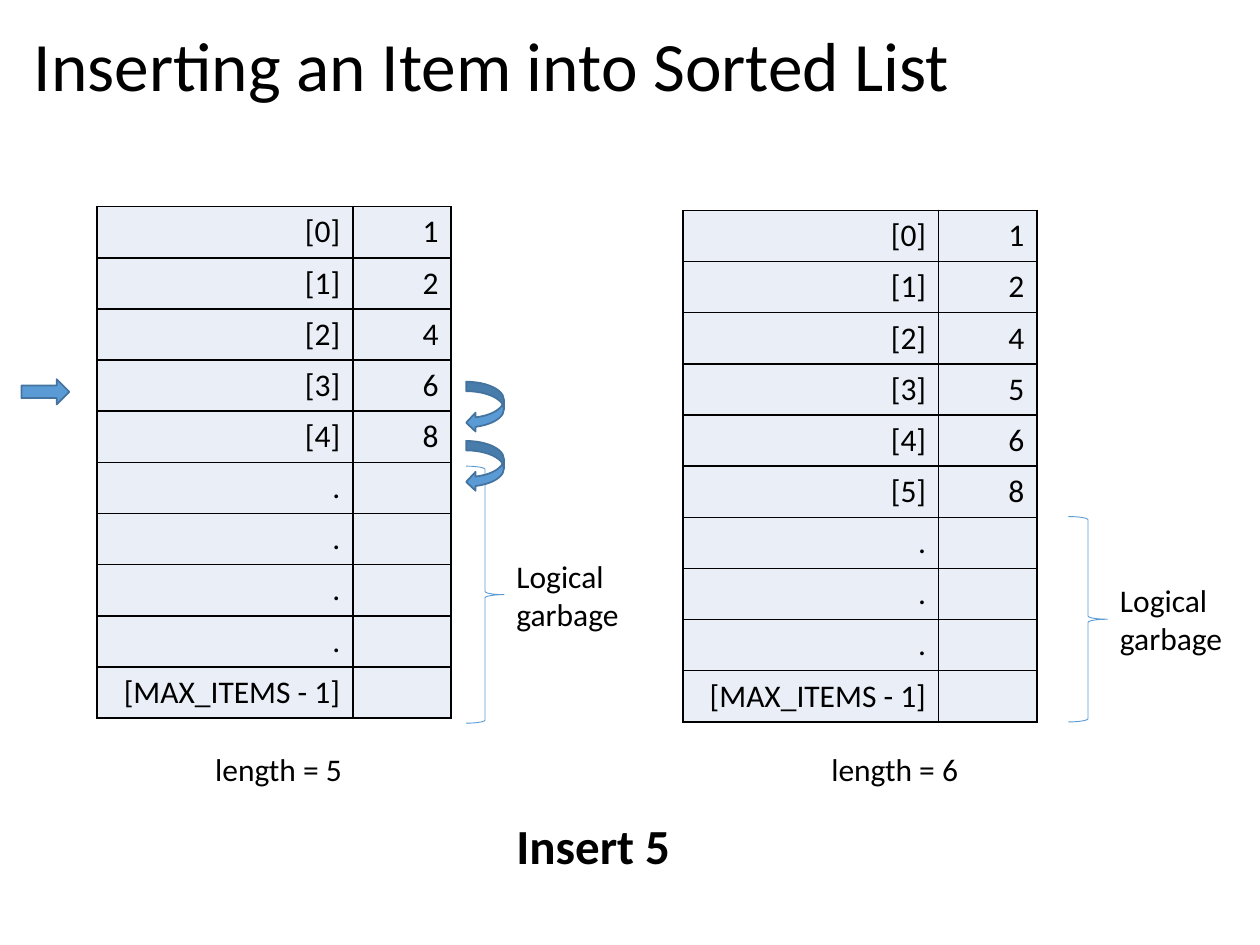
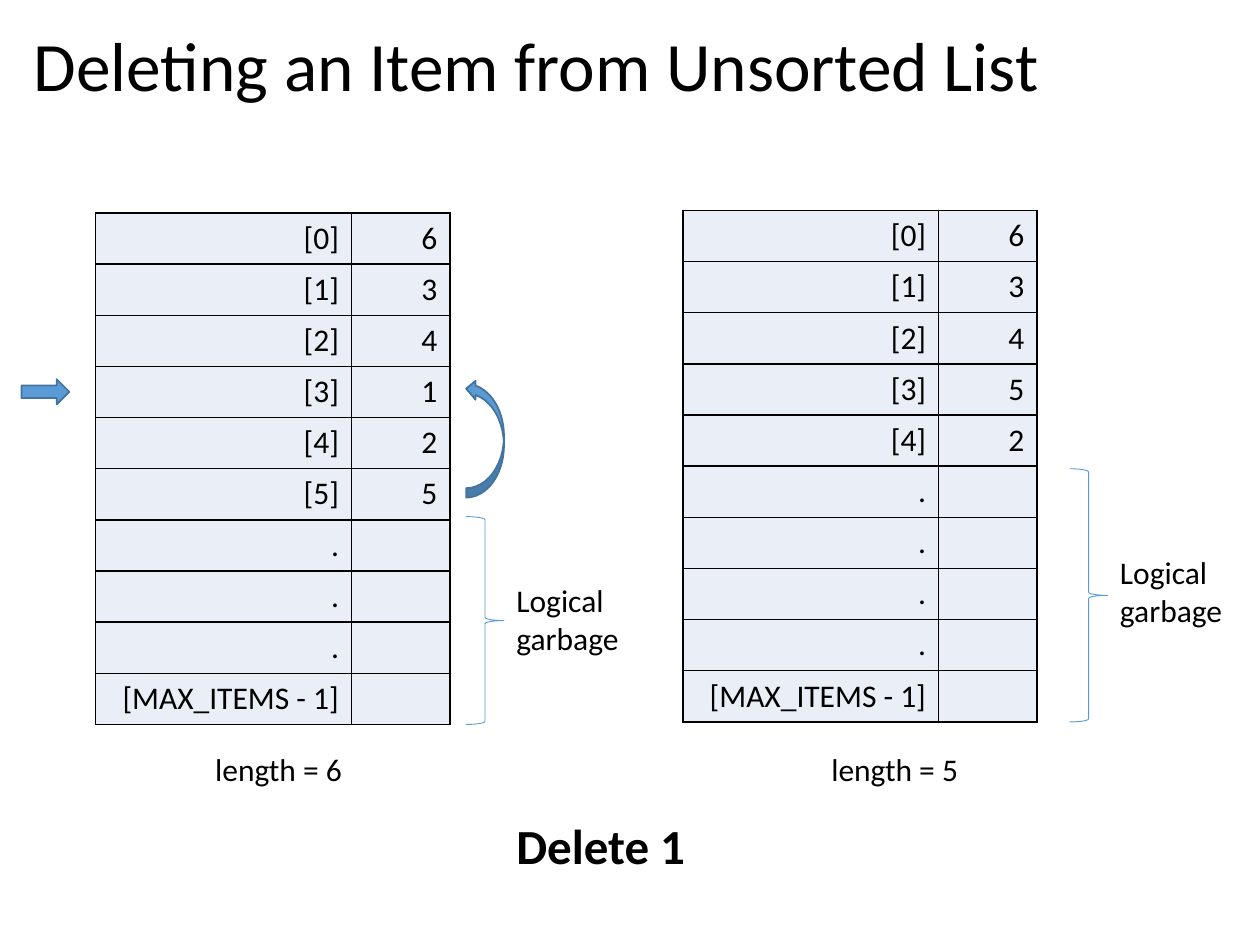
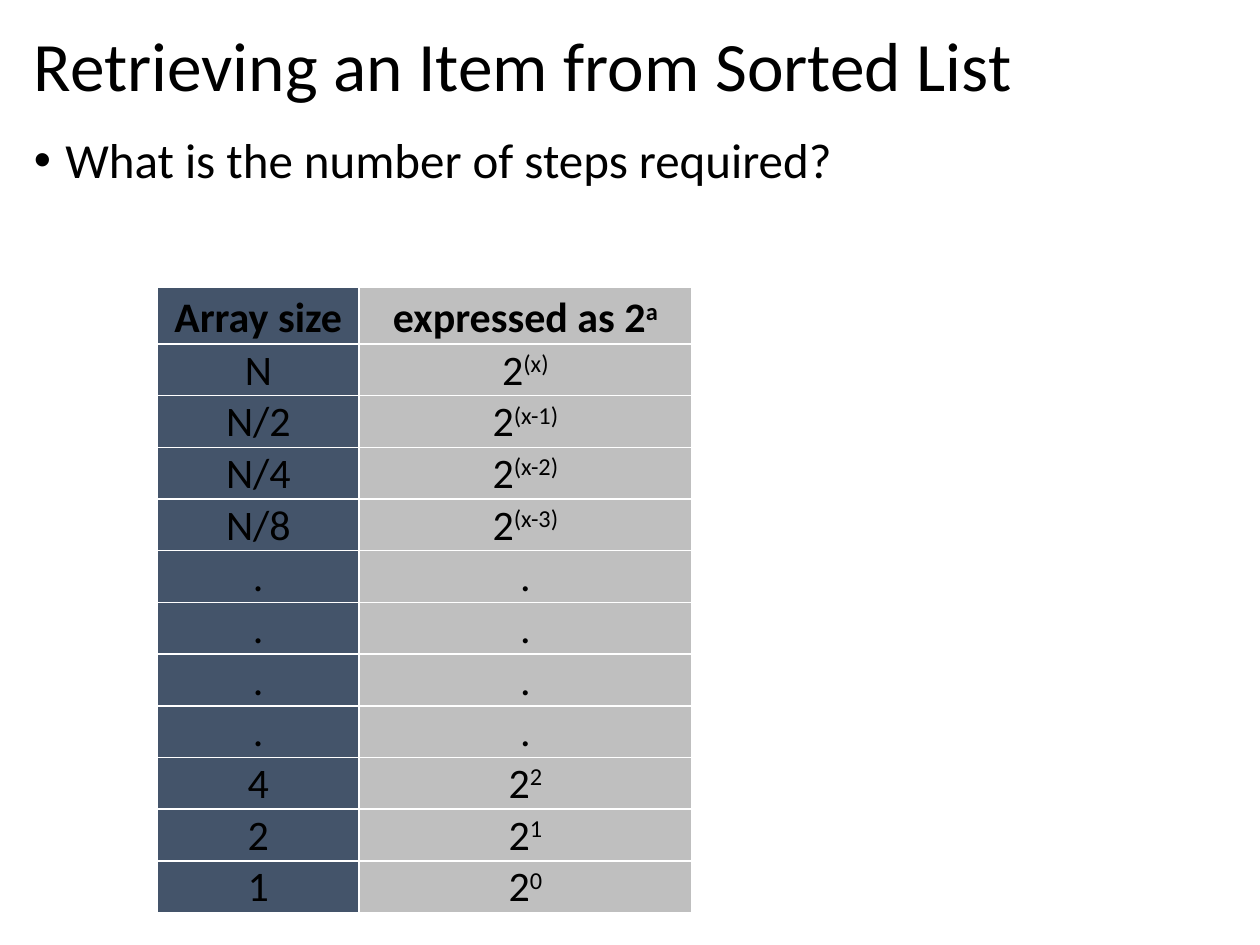
from lxml import etree
from pptx import Presentation
from pptx.dml.color import RGBColor
from pptx.enum.shapes import MSO_SHAPE as Preset
from pptx.enum.text import MSO_ANCHOR as Anchor, MSO_AUTO_SIZE as AutoSize, PP_ALIGN as Align
from pptx.oxml.ns import qn
from pptx.util import Inches, Pt

COLORS = {
    "text": "000000",
    "white": "FFFFFF",
    "accent": "5B9BD5",
    "outline": "43739E",
    "cell": "EAEFF7",
    "size": "44546A",
    "power": "BFBFBF",
}
FONT = "Calibri"
CAPACITY = 10  # rows of a list table
LAST_INDEX = "[MAX_ITEMS - 1]"


def color(name):
    return RGBColor.from_string(COLORS[name])


class Deck:
    """Holds the shared style and the current slide."""

    def __init__(self):
        self.presentation = Presentation()
        self.presentation.slide_width = Inches(10)
        self.presentation.slide_height = Inches(7.5)
        self.slide = None

    def new_slide(self, title):
        self.slide = self.presentation.slides.add_slide(self.presentation.slide_layouts[6])
        frame = self.text(title, 0.17, 0.18, 9.62, 0.74, 39.6, grow=False)
        frame.vertical_anchor = Anchor.MIDDLE
        frame.paragraphs[0].line_spacing = 0.9

    def run(self, paragraph, text, size, bold=False, raised=False):
        run = paragraph.add_run()
        run.text = text
        run.font.name = FONT
        run.font.size = Pt(size)
        run.font.bold = bold
        run.font.color.rgb = color("text")
        if raised:
            run.font._element.set("baseline", "30000")

    def text(self, text, left, top, width, height, size=18, bold=False, grow=True):
        box = self.slide.shapes.add_textbox(
            Inches(left), Inches(top), Inches(width), Inches(height))
        frame = box.text_frame
        frame.word_wrap = True
        frame.auto_size = AutoSize.SHAPE_TO_FIT_TEXT if grow else AutoSize.NONE
        self.run(frame.paragraphs[0], text, size, bold)
        return frame

    def bullet(self, text, left, top, width, height):
        frame = self.text(text, left, top, width, height, 28, grow=False)
        paragraph = frame.paragraphs[0]
        paragraph.line_spacing = 0.9
        properties = paragraph._p.get_or_add_pPr()
        properties.set("marL", str(Inches(0.25)))
        properties.set("indent", str(-Inches(0.25)))
        etree.SubElement(properties, qn("a:buFont")).set("typeface", "Arial")
        etree.SubElement(properties, qn("a:buChar")).set("char", "•")

    def shape(self, preset, left, top, width, height, flip=False):
        shape = self.slide.shapes.add_shape(
            preset, Inches(left), Inches(top), Inches(width), Inches(height))
        shape.shadow.inherit = False
        if preset == Preset.RIGHT_BRACE:
            shape.fill.background()
            shape.line.color.rgb = color("accent")
            shape.line.width = Pt(0.5)
        else:
            shape.fill.solid()
            shape.fill.fore_color.rgb = color("accent")
            shape.line.color.rgb = color("outline")
            shape.line.width = Pt(1)
        if flip:
            shape._element.spPr.find(qn("a:xfrm")).set("flipV", "1")

    def borders(self, cell, name):
        properties = cell._tc.get_or_add_tcPr()
        for side in ("lnL", "lnR", "lnT", "lnB"):
            line = etree.SubElement(properties, qn(f"a:{side}"), w=str(Pt(1)))
            fill = etree.SubElement(line, qn("a:solidFill"))
            etree.SubElement(fill, qn("a:srgbClr"), val=COLORS[name])

    def table(self, rows, left, top, widths, heights, fills, border, size, align,
              header=False, tight=False):
        """Each cell is a (text, superscript) pair."""
        table = self.slide.shapes.add_table(
            len(rows), len(widths), Inches(left), Inches(top),
            Inches(sum(widths)), Inches(sum(heights))).table
        table.first_row = header
        table.horz_banding = False
        for column, width in zip(table.columns, widths):
            column.width = Inches(width)
        for row_index, (row, height) in enumerate(zip(rows, heights)):
            table.rows[row_index].height = Inches(height)
            bold = header and row_index == 0
            for column_index, parts in enumerate(row):
                cell = table.cell(row_index, column_index)
                self.borders(cell, border)
                cell.fill.solid()
                cell.fill.fore_color.rgb = color(fills[column_index])
                if tight:
                    cell.vertical_anchor = Anchor.BOTTOM
                    cell.margin_left = cell.margin_right = cell.margin_top = Inches(0.01)
                    cell.margin_bottom = 0
                paragraph = cell.text_frame.paragraphs[0]
                paragraph.alignment = align
                for part, raised in zip(parts, (False, True)):
                    if part:
                        self.run(paragraph, part, size, bold, raised)

    def list_state(self, values, left, top, brace, label_left, label_top, length_left):
        """A list table with its garbage brace and length."""
        rows = [((f"[{index}]", ""), (str(value), "")) for index, value in enumerate(values)]
        rows += [((".", ""), ("", ""))] * (CAPACITY - 1 - len(values))
        rows.append(((LAST_INDEX, ""), ("", "")))
        self.table(rows, left, top, (2.03, 0.78), [4.06 / CAPACITY] * CAPACITY,
                   ("cell", "cell"), "text", 18, Align.RIGHT)
        self.shape(Preset.RIGHT_BRACE, *brace)
        self.text("Logical garbage", label_left, label_top, 1.12, 0.71)
        self.text(f"length = {len(values)}", length_left, 5.9, 1.37, 0.4)

    def operation(self, caption):
        self.text(caption, 4, 6.42, 1.57, 0.57, 28, bold=True)
        self.shape(Preset.RIGHT_ARROW, 0.17, 3.01, 0.38, 0.2)


def main():
    deck = Deck()

    # Insertion
    deck.new_slide("Inserting an Item into Sorted List")
    deck.list_state([1, 2, 4, 6, 8], 0.77, 1.64, (3.7, 3.7, 0.3, 2.04), 4, 4.37, 1.61)
    deck.list_state([1, 2, 4, 5, 6, 8], 5.42, 1.67, (8.48, 4.1, 0.31, 1.63), 8.79, 4.56, 6.5)
    for top in (3.5, 3.03):
        deck.shape(Preset.CURVED_LEFT_ARROW, 3.7, top, 0.3, 0.4)
    deck.operation("Insert 5")

    # Deletion
    deck.new_slide("Deleting an Item from Unsorted List")
    deck.list_state([6, 3, 4, 1, 2, 5], 0.76, 1.69, (3.7, 4.1, 0.3, 1.65), 4, 4.56, 1.61)
    deck.list_state([6, 3, 4, 5, 2], 5.42, 1.67, (8.49, 3.72, 0.3, 2.01), 8.79, 4.34, 6.5)
    deck.shape(Preset.CURVED_LEFT_ARROW, 3.7, 3.01, 0.3, 0.94, flip=True)
    deck.operation("Delete 1")

    # Retrieval steps
    deck.new_slide("Retrieving an Item from Sorted List")
    powers = [("Array size", "expressed as 2", "a"), ("N", "2", "(x)")]
    powers += [(f"N/{2 ** step}", "2", f"(x-{step})") for step in (1, 2, 3)]
    powers += [(".", ".", "")] * 4
    powers += [(str(2 ** exponent), "2", str(exponent)) for exponent in (2, 1, 0)]
    rows = [((size, ""), (base, exponent)) for size, base, exponent in powers]
    deck.table(rows, 1.25, 2.28, (1.6, 2.64), [0.45] + [0.38] * (len(rows) - 1),
               ("size", "power"), "white", 24, Align.CENTER, header=True, tight=True)
    deck.bullet("What is the number of steps required?", 0.17, 1.03, 9.62, 5.73)

    deck.presentation.save("out.pptx")


if __name__ == "__main__":
    main()
